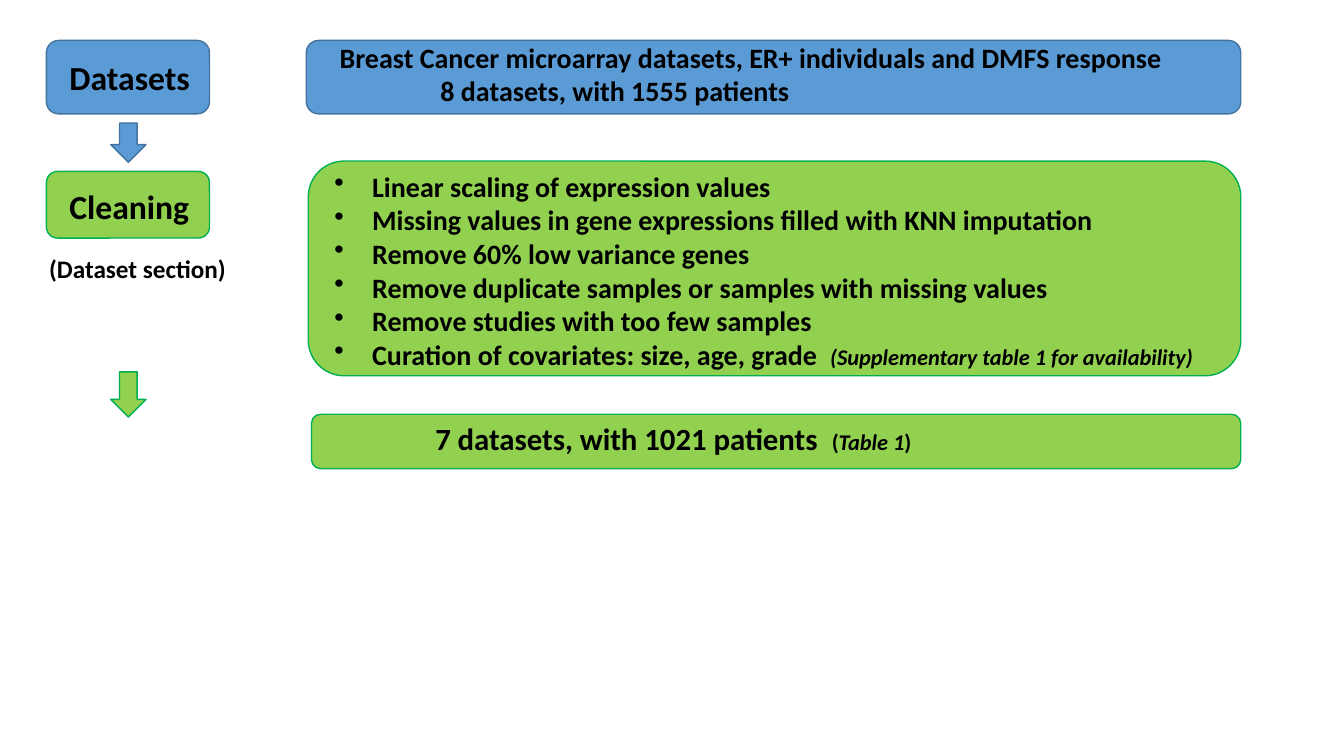
from dataclasses import dataclass

from lxml.etree import SubElement
from pptx import Presentation
from pptx.dml.color import RGBColor
from pptx.enum.shapes import MSO_SHAPE
from pptx.oxml.ns import qn
from pptx.util import Cm, Pt


@dataclass(frozen=True)
class Tone:
    fill: RGBColor
    line: RGBColor


@dataclass(frozen=True)
class Theme:
    blue: Tone = Tone(RGBColor(0x5B, 0x9B, 0xD5), RGBColor(0x43, 0x73, 0x9E))
    green: Tone = Tone(RGBColor(0x92, 0xD0, 0x50), RGBColor(0x00, 0xB0, 0x50))
    ink: RGBColor = RGBColor(0, 0, 0)
    font: str = "Calibri"
    stage: float = 24
    result: float = 22
    body: float = 20
    caption: float = 18
    reference: float = 16


THEME = Theme()


@dataclass(frozen=True)
class Area:
    left: float
    top: float
    width: float
    height: float

    def lengths(self) -> tuple:
        return Cm(self.left), Cm(self.top), Cm(self.width), Cm(self.height)


@dataclass(frozen=True)
class Panel:
    area: Area
    tone: Tone
    kind: MSO_SHAPE = MSO_SHAPE.ROUNDED_RECTANGLE


@dataclass(frozen=True)
class Span:
    text: str
    size: float = THEME.body
    italic: bool = False


@dataclass(frozen=True)
class Line:
    spans: tuple[Span, ...]
    indent: float = 0
    bullet: bool = False


@dataclass(frozen=True)
class Label:
    area: Area
    lines: tuple[Line, ...]


def draw_panel(page, panel: Panel) -> None:
    box = page.shapes.add_shape(panel.kind, *panel.area.lengths())
    box.shadow.inherit = False
    box.fill.solid()
    box.fill.fore_color.rgb = panel.tone.fill
    box.line.color.rgb = panel.tone.line
    box.line.width = Pt(1)


def indent_para(para, line: Line) -> None:
    properties = para._p.get_or_add_pPr()
    properties.set("marL", str(Cm(line.indent)))
    if line.bullet:
        properties.set("indent", str(-Cm(line.indent)))
        SubElement(properties, qn("a:buChar")).set("char", "•")


def draw_label(page, label: Label) -> None:
    frame = page.shapes.add_textbox(*label.area.lengths()).text_frame
    frame.word_wrap = True
    for index, line in enumerate(label.lines):
        para = frame.add_paragraph() if index else frame.paragraphs[0]
        indent_para(para, line)
        for span in line.spans:
            run = para.add_run()
            run.text = span.text
            run.font.name = THEME.font
            run.font.size = Pt(span.size)
            run.font.bold = True
            run.font.italic = span.italic
            run.font.color.rgb = THEME.ink


def plain(text: str, size: float = THEME.body, indent: float = 0) -> Line:
    return Line((Span(text, size),), indent)


def bullet(*spans: Span) -> Line:
    return Line(spans, BULLET_INDENT, True)


BULLET_INDENT = 0.95
COUNT_INDENT = 2.54
DETAIL_WIDTH = 24.36

# Stage boxes, detail panels and the arrows between stages
PANELS = (
    Panel(Area(1.17, 1.02, 4.11, 1.85), THEME.blue),
    Panel(Area(7.72, 1.02, 23.55, 1.85), THEME.blue),
    Panel(Area(2.79, 3.1, 0.89, 0.99), THEME.blue, MSO_SHAPE.DOWN_ARROW),
    Panel(Area(1.17, 4.32, 4.11, 1.68), THEME.green),
    Panel(Area(7.77, 4.06, 23.5, 5.41), THEME.green),
    Panel(Area(7.85, 10.44, 23.42, 1.37), THEME.green),
    Panel(Area(2.79, 9.37, 0.89, 1.14), THEME.green, MSO_SHAPE.DOWN_ARROW),
)

# Wording of the stages and their details
LABELS = (
    Label(Area(1.5, 1.3, 4.7, 1.27), (plain("Datasets", THEME.stage),)),
    Label(Area(1.5, 4.57, 4.7, 1.27), (plain("Cleaning", THEME.stage),)),
    Label(Area(0.99, 6.27, 5.28, 1.02), (plain("(Dataset section)", THEME.caption),)),
    Label(Area(8.31, 0.89, DETAIL_WIDTH, 1.96), (
        plain("Breast Cancer microarray datasets, ER+ individuals and DMFS response"),
        plain("8 datasets, with 1555 patients", indent=COUNT_INDENT),
    )),
    Label(Area(8.18, 4.14, DETAIL_WIDTH, 5.38), (
        bullet(Span("Linear scaling of expression values")),
        bullet(Span("Missing values in gene expressions filled with KNN imputation")),
        bullet(Span("Remove 60% low variance genes")),
        bullet(Span("Remove duplicate samples or samples with missing values")),
        bullet(Span("Remove studies with too few samples")),
        bullet(
            Span("Curation of covariates: size, age, grade  "),
            Span("(Supplementary table 1 for availability)", THEME.reference, True),
        ),
    )),
    Label(Area(8.18, 10.44, DETAIL_WIDTH, 1.19), (
        Line((
            Span("7 datasets, with 1021 patients  ", THEME.result),
            Span("(", THEME.reference),
            Span("Table 1", THEME.reference, True),
            Span(")", THEME.reference),
        ), COUNT_INDENT),
    )),
)

# Build the slide
deck = Presentation()
deck.slide_width, deck.slide_height = Cm(33.87), Cm(19.05)
page = deck.slides.add_slide(deck.slide_layouts[6])
for panel in PANELS:
    draw_panel(page, panel)
for label in LABELS:
    draw_label(page, label)
deck.save("out.pptx")
